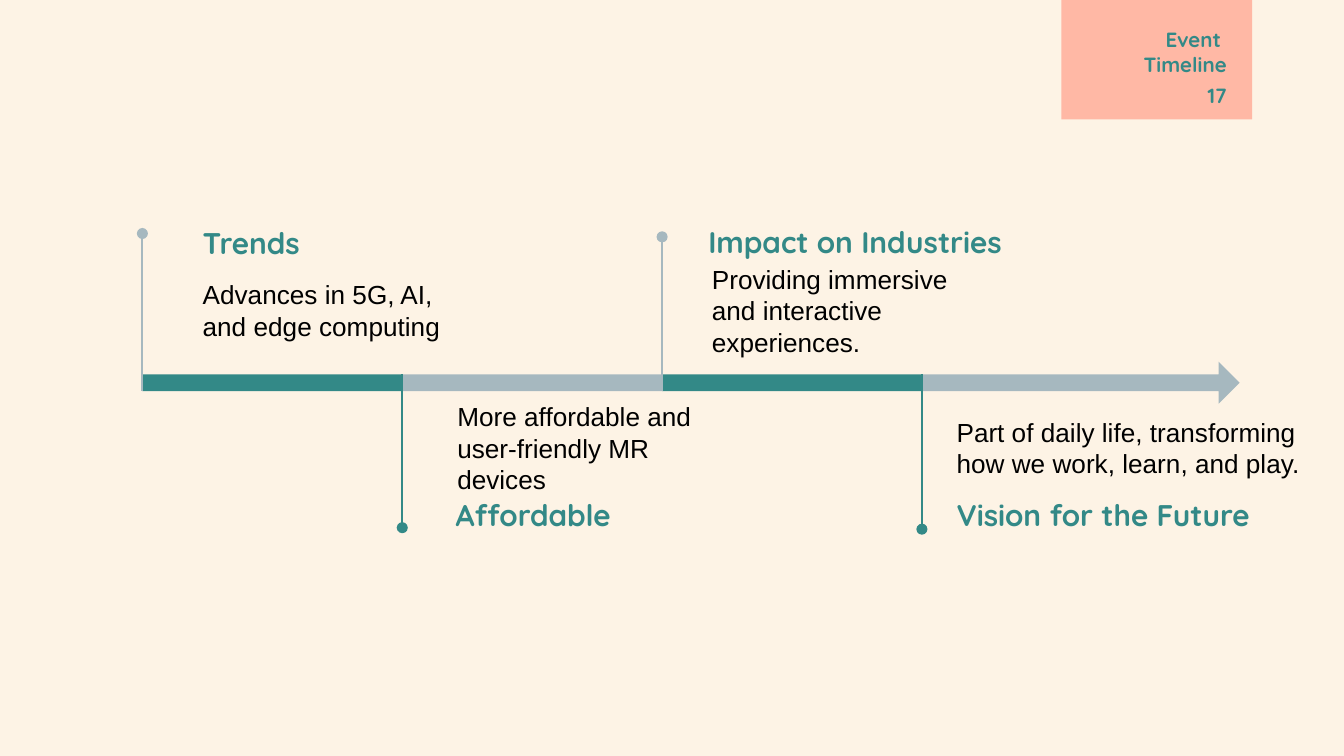
import pptx
import pptx.util
import pptx.dml.color
import pptx.enum.shapes
import pptx.enum.text
import pptx.oxml
import pptx.oxml.ns

Pt = pptx.util.Pt
SHAPE = pptx.enum.shapes.MSO_SHAPE
ALIGN = pptx.enum.text.PP_ALIGN
ANCHOR = pptx.enum.text.MSO_ANCHOR
TEAL, GREY, PEACH, CREAM, BLACK = "338987", "A6B8BF", "FFB8A5", "FDF3E5", "000000"


def color(value):
    return pptx.dml.color.RGBColor.from_string(value)


def write(sp, text, size=16, font="Quicksand", fill=TEAL, bold=True,
          align=ALIGN.LEFT, anchor=ANCHOR.MIDDLE, left=7.2):
    tf = sp.text_frame
    tf.word_wrap = True
    tf.auto_size = pptx.enum.text.MSO_AUTO_SIZE.NONE
    tf.vertical_anchor = anchor
    tf.margin_left = Pt(left)
    tf.margin_top = tf.margin_right = tf.margin_bottom = Pt(7.2)
    tf.text = text
    for p in tf.paragraphs:
        p.alignment = align
        p.line_spacing = 1.0
        for r in p.runs:
            r.font.name = font
            r.font.size = Pt(size)
            r.font.bold = bold
            r.font.color.rgb = color(fill)


class Deck:
    def __init__(self, width, height, background):
        self.prs = pptx.Presentation()
        self.prs.slide_width, self.prs.slide_height = Pt(width), Pt(height)
        self.s = self.prs.slides.add_slide(self.prs.slide_layouts[5])
        self.s.background.fill.solid()
        self.s.background.fill.fore_color.rgb = color(background)

    def shape(self, kind, x, y, w, h, fill):
        sp = self.s.shapes.add_shape(kind, Pt(x), Pt(y), Pt(w), Pt(h))
        sp.shadow.inherit = False
        sp.fill.solid()
        sp.fill.fore_color.rgb = color(fill)
        sp.line.fill.background()
        return sp

    def title(self, text, x, y, w, h, **style):
        sp = self.s.shapes.title
        sp.left, sp.top, sp.width, sp.height = Pt(x), Pt(y), Pt(w), Pt(h)
        write(sp, text, **style)
        sp.element.getparent().append(sp.element)

    def text(self, text, x, y, w, h, **style):
        sp = self.s.shapes.add_textbox(Pt(x), Pt(y), Pt(w), Pt(h))
        write(sp, text, **style)

    def pin(self, x, head, foot, fill):
        line = self.s.shapes.add_connector(
            pptx.enum.shapes.MSO_CONNECTOR.STRAIGHT, Pt(x), Pt(head), Pt(x), Pt(foot))
        line.line.width = Pt(1)
        line.line.color.rgb = color(fill)
        ns = pptx.oxml.ns.nsdecls("a")
        ln = line.line._get_or_add_ln()
        ln.append(pptx.oxml.parse_xml(f'<a:headEnd {ns} type="oval"/>'))
        ln.getparent().append(pptx.oxml.parse_xml(f"<a:effectLst {ns}/>"))


def main():
    deck = Deck(720, 405, CREAM)
    deck.shape(SHAPE.RECTANGLE, 568.6, 0, 102.2, 64, PEACH)
    corner = {"size": 11, "align": ALIGN.RIGHT}
    deck.title("Event \nTimeline", 438.5, 10, 226, 38, anchor=ANCHOR.BOTTOM, **corner)
    deck.text("17", 621.2, 37.4, 43.2, 31, anchor=ANCHOR.TOP, **corner)

    start, step, top, bar = 76.3, 139.2, 200.6, 9
    arrow = deck.shape(SHAPE.RIGHT_ARROW, start + 3 * step, 193.8, 170.2, 22.5, GREY)
    arrow.adjustments[0] = 0.4
    for i, fill in enumerate((TEAL, GREY, TEAL)):
        deck.shape(SHAPE.RECTANGLE, start + i * step, top, step, bar, fill)
    for i, head in enumerate((125.1, 282.7, 126.9, 283.5)):
        above = i % 2 == 0
        deck.pin(start + i * step, head, top + bar if above else top, GREY if above else TEAL)

    events = (
        ("Trends", 101.5, 119.7, 145,
         "Advances in 5G, AI, and edge computing", 149.2, 155.5, 7.2),
        ("Affordable", 237, 265.2, 145,
         "More affordable and user-friendly MR devices", 222.8, 155.5, 8),
        ("Impact on Industries", 372.4, 119.1, 184,
         "Providing immersive and interactive experiences.", 149.2, 155.5, 9),
        ("Vision for the Future", 505.4, 265.2, 186.5,
         "Part of daily life, transforming how we work, learn, and play.", 222.8, 198.7, 7.2),
    )
    for name, x, y, w, detail, detail_y, detail_w, left in events:
        deck.text(name, x, y, w, 21)
        deck.text(detail, x, detail_y, detail_w, 34, size=14, font="Arial",
                  fill=BLACK, bold=False, left=left)
    deck.prs.save("out.pptx")


if __name__ == "__main__":
    main()
